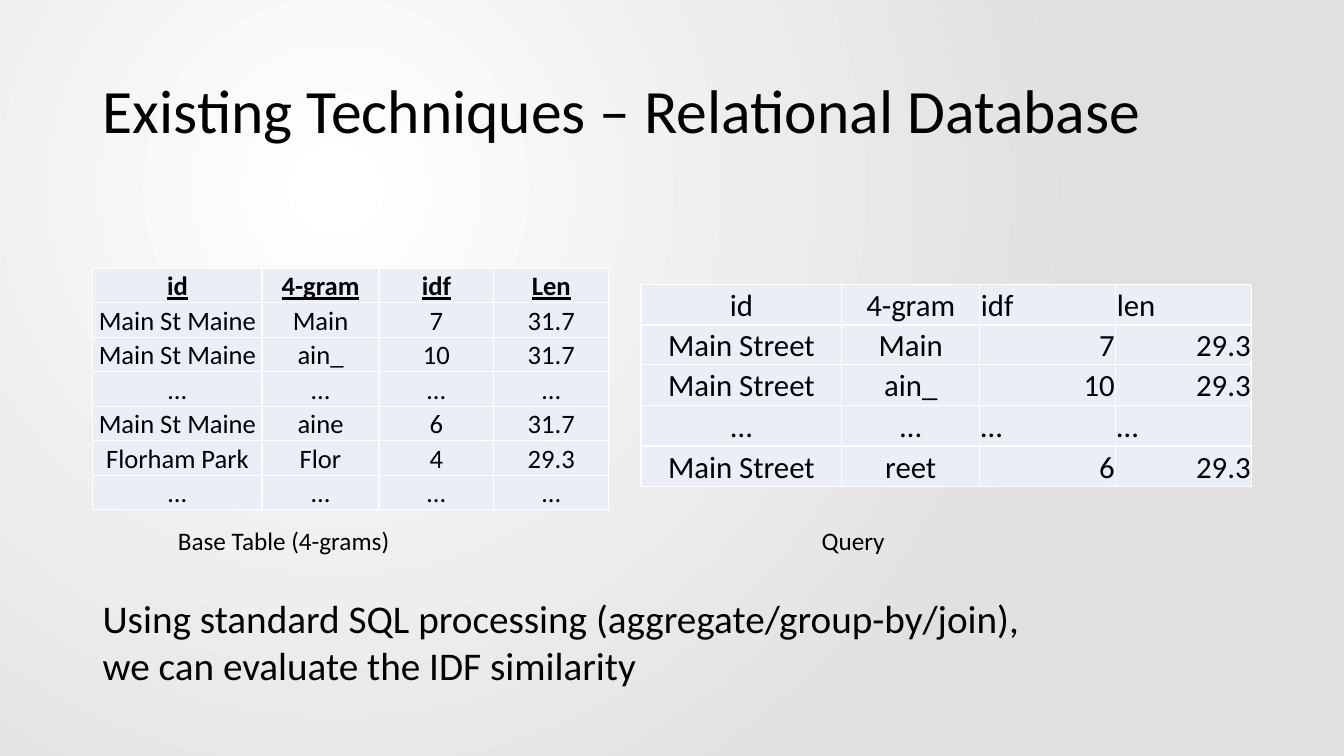
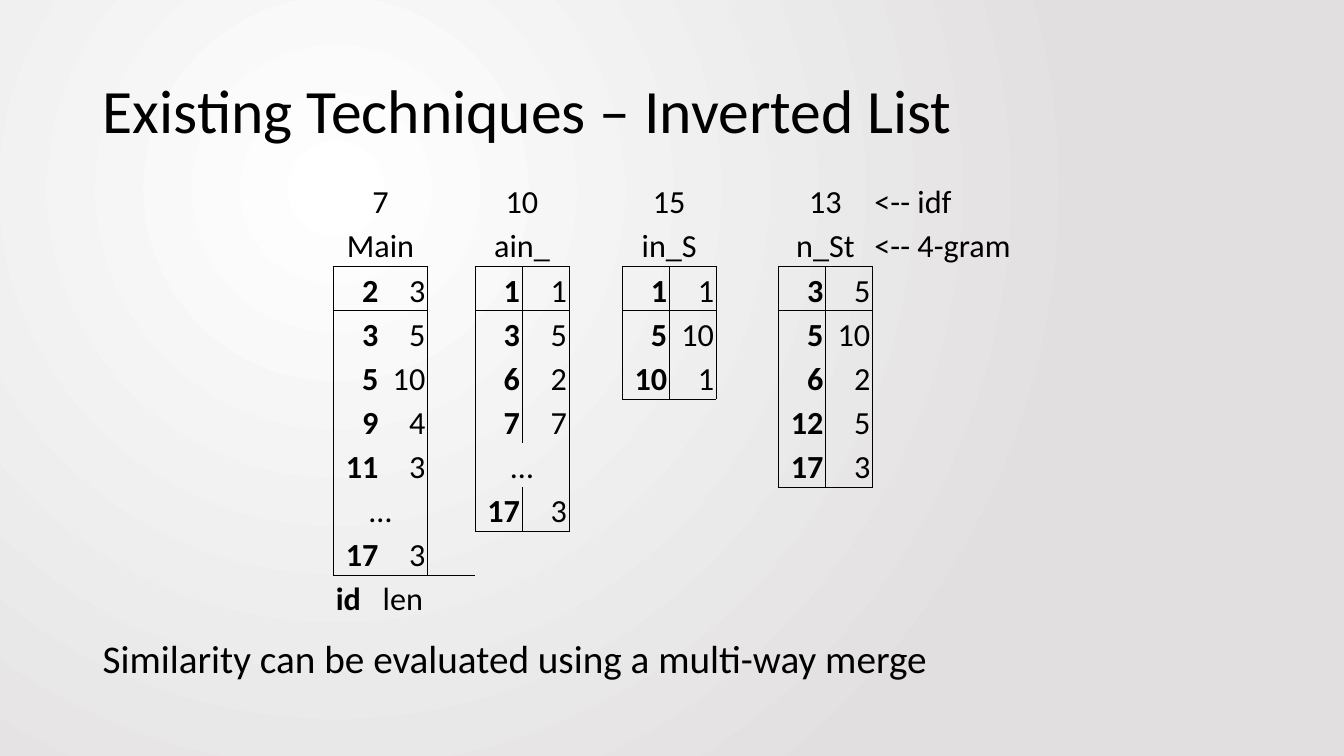
from pptx import Presentation
from pptx.dml.color import RGBColor
from pptx.enum.text import MSO_ANCHOR, MSO_AUTO_SIZE, PP_ALIGN as Align
from pptx.oxml.ns import qn
from pptx.oxml.xmlchemy import OxmlElement as Element
from pptx.util import Inches, Pt

BLACK = RGBColor(0x00, 0x00, 0x00)
WHITE = RGBColor(0xFF, 0xFF, 0xFF)
GREY = RGBColor(0xE1, 0xDF, 0xDF)
PALE_BLUE = RGBColor(0xEA, 0xEF, 0xF7)

FONT = "Calibri"
PLAIN_TABLE = "{2D5ABB26-0587-4C30-8999-92F81FD0307C}"  # no style, no grid
LEFT_EDGE = 6.9


class Deck:
    """Style and current slide; lengths are percentages of the slide size."""

    def __init__(self):
        self.deck = Presentation()
        self.deck.slide_width, self.deck.slide_height = Inches(13.33), Inches(7.5)
        self.page = None
        self.paint_background()

    def across(self, share):
        return round(self.deck.slide_width * share / 100)

    def down(self, share):
        return round(self.deck.slide_height * share / 100)

    def paint_background(self):
        master = self.deck.slide_master
        fill = master.background.fill
        fill.gradient()
        for position, color in enumerate((WHITE, GREY)):
            stop = fill.gradient_stops[position]
            stop.color.rgb = color
            stop.position = position
        gradient = master.element.find(".//" + qn("a:gradFill"))
        gradient.remove(gradient.find(qn("a:lin")))
        circle = Element("a:path")
        circle.set("path", "circle")
        focus = Element("a:fillToRect")
        for side, share in zip("ltrb", (50, 50, 100, 100)):
            focus.set(side, str(share * 1000))
        circle.append(focus)
        gradient.append(circle)

    def style(self, frame, size, align=Align.LEFT, bold=False, underline=False):
        for para in frame.paragraphs:
            para.alignment = align
            for span in para.runs:
                font = span.font
                font.name, font.size, font.color.rgb = FONT, Pt(size), BLACK
                font.bold, font.underline = bold, underline

    def new_page(self, title):
        self.page = self.deck.slides.add_slide(self.deck.slide_layouts[5])
        box = self.page.shapes.title
        box.left, box.top = self.across(LEFT_EDGE), self.down(5.33)
        box.width, box.height = self.across(86.25), self.down(19.33)
        frame = box.text_frame
        frame.text = title
        frame.auto_size = MSO_AUTO_SIZE.NONE
        frame.vertical_anchor = MSO_ANCHOR.MIDDLE
        frame.paragraphs[0].line_spacing = 0.9
        self.style(frame, 44)

    def text(self, words, left, top, width, height, size):
        box = self.page.shapes.add_textbox(self.across(left), self.down(top),
                                           self.across(width), self.down(height))
        frame = box.text_frame
        frame.word_wrap = True
        frame.auto_size = MSO_AUTO_SIZE.SHAPE_TO_FIT_TEXT
        frame.text = words
        self.style(frame, size)

    def caption(self, words, left):
        self.text(words, left, 68.8, 26.7, 5.4, 18)

    def note(self, words, top, height):
        self.text(words, LEFT_EDGE, top, 70.2, height, 28)

    def table(self, left, top, columns, rows, margin):
        """Add an empty, unstyled table with the given column and row sizes."""
        frame = self.page.shapes.add_table(
            len(rows), len(columns), self.across(left), self.down(top),
            self.across(sum(columns)), self.down(sum(rows)))
        table = frame.table
        table.first_row = table.horz_banding = False
        table._tbl.tblPr.find(qn("a:tableStyleId")).text = PLAIN_TABLE
        for column, width in zip(table.columns, columns):
            column.width = self.across(width)
        for row, height in zip(table.rows, rows):
            row.height = self.down(height)
        for cell in table.iter_cells():
            cell.margin_left = cell.margin_right = cell.margin_top = Pt(margin)
            cell.margin_bottom = 0
            cell.vertical_anchor = MSO_ANCHOR.BOTTOM
        return table

    def fill_cell(self, cell, words, size, **look):
        cell.text_frame.text = words
        self.style(cell.text_frame, size, **look)

    def borders(self, cell, sides, color, width):
        """Draw the sides named by letters of LRTB, in that order."""
        properties = cell._tc.get_or_add_tcPr()
        for side in sides:
            line = Element("a:ln" + side)
            line.set("w", str(Pt(width)))
            solid, shade = Element("a:solidFill"), Element("a:srgbClr")
            shade.set("val", str(color))
            solid.append(shade)
            line.append(solid)
            properties.append(line)

    def filled_table(self, left, top, columns, rows, records, size, look):
        """Pale table with white rules; look(row, column, words) gives formats."""
        table = self.table(left, top, columns, rows, 0.8)
        for r, record in enumerate(records):
            for c, words in enumerate(record):
                cell = table.cell(r, c)
                self.fill_cell(cell, words, size, **look(r, c, words))
                self.borders(cell, "LRTB", WHITE, 1)
                cell.fill.solid()
                cell.fill.fore_color.rgb = PALE_BLUE

    def posting_list(self, table, column, idf, gram, postings, size):
        """Fill two columns: idf and 4-gram on top, a framed list below."""
        for row, words in enumerate((idf, gram)):
            cell = table.cell(row, column)
            cell.merge(table.cell(row, column + 1))
            self.fill_cell(cell, words, size, align=Align.CENTER)
        self.borders(table.cell(1, column), "B", BLACK, 0.5)
        self.borders(table.cell(1, column + 1), "B", BLACK, 0.5)
        for row, posting in enumerate(postings, start=2):
            first, second = table.cell(row, column), table.cell(row, column + 1)
            ends = "T" * (row == 2) + "B" * (row == len(postings) + 1)
            if posting == "…":
                first.merge(second)
                self.fill_cell(first, posting, size, align=Align.CENTER)
                self.borders(first, "LR" + ends, BLACK, 0.5)
            else:
                number, length = map(str, posting)
                self.fill_cell(first, number, size, align=Align.RIGHT, bold=True)
                self.fill_cell(second, length, size, align=Align.RIGHT)
                self.borders(first, "L" + ends, BLACK, 0.5)
            self.borders(second, "R" + ends, BLACK, 0.5)


BASE_TABLE = [
    ("id", "4-gram", "idf", "Len"),
    ("Main St Maine", "Main", "7", "31.7"),
    ("Main St Maine", "ain_", "10", "31.7"),
    ("…",) * 4,
    ("Main St Maine", "aine", "6", "31.7"),
    ("Florham Park", "Flor", "4", "29.3"),
    ("…",) * 4,
]
QUERY_TABLE = [
    ("id", "4-gram", "idf", "len"),
    ("Main Street", "Main", "7", "29.3"),
    ("Main Street", "ain_", "10", "29.3"),
    ("…",) * 4,
    ("Main Street", "reet", "6", "29.3"),
]
INVERTED_LISTS = [
    ("7", "Main", [(2, 3), (3, 5), (5, 10), (9, 4), (11, 3), "…", (17, 3)]),
    ("10", "ain_", [(1, 1), (3, 5), (6, 2), (7, 7), "…", (17, 3)]),
    ("15", "in_S", [(1, 1), (5, 10), (10, 1)]),
    ("13", "n_St", [(3, 5), (5, 10), (6, 2), (12, 5), (17, 3)]),
]


def base_look(row, column, words):
    return dict(align=Align.CENTER, bold=row == 0, underline=row == 0)


def query_look(row, column, words):
    if column < 2:
        return dict(align=Align.CENTER)
    return dict(align=Align.RIGHT if words[0].isdigit() else Align.LEFT)


def relational_page(deck):
    deck.new_page("Existing Techniques – Relational Database")
    deck.filled_table(LEFT_EDGE, 35.47, [12.6, 8.7, 8.55, 8.55], [4.57] * 7,
                      BASE_TABLE, 19, base_look)
    deck.caption("Base Table (4-grams)", 12.5)
    deck.filled_table(47.7, 37.6, [14.93, 10.27, 10.12, 10.12],
                      [5.4, 5.2, 5.4, 5.4, 5.4], QUERY_TABLE, 22, query_look)
    deck.caption("Query", 60.4)
    deck.note("Using standard SQL processing (aggregate/group-by/join), "
              "we can evaluate the IDF similarity", 78, 13.9)


def inverted_page(deck):
    deck.new_page("Existing Techniques – Inverted List")
    size = 23
    # Each list takes two equal columns and the gap after it
    columns = [width for gap in (3.55, 3.98, 4.65, 10.58)
               for width in (3.49, 3.49, gap)]
    table = deck.table(24.83, 23.6, columns, [5.84] * 10, 1.5)
    for index, (idf, gram, postings) in enumerate(INVERTED_LISTS):
        deck.posting_list(table, 3 * index, idf, gram, postings, size)
    # Labels beside and below the lists
    for row, words in enumerate(("<-- idf", "<-- 4-gram")):
        deck.fill_cell(table.cell(row, 11), words, size)
    deck.fill_cell(table.cell(9, 0), "id", size, bold=True)
    table.cell(9, 1).merge(table.cell(9, 2))
    deck.fill_cell(table.cell(9, 1), "len", size)
    deck.note("Similarity can be evaluated using a multi-way merge", 83.3, 7.6)


def main():
    deck = Deck()
    relational_page(deck)
    inverted_page(deck)
    deck.deck.save("out.pptx")


if __name__ == "__main__":
    main()
